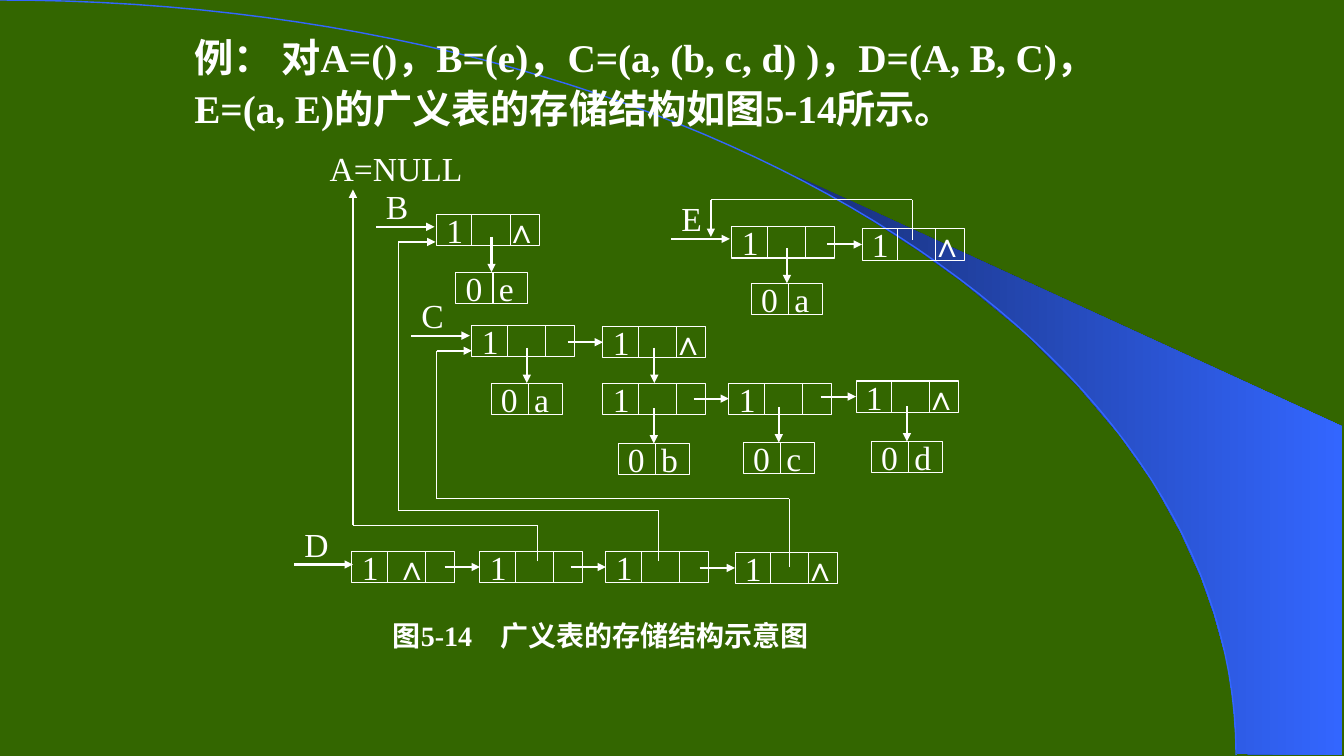
from itertools import pairwise
from lxml import etree
from pptx import Presentation
from pptx.dml.color import RGBColor as RGB
from pptx.enum.shapes import MSO_CONNECTOR as LINE, MSO_SHAPE as SHAPE
from pptx.enum.text import MSO_ANCHOR as ANCHOR, MSO_AUTO_SIZE as AUTO, PP_ALIGN as ALIGN
from pptx.oxml.ns import qn
from pptx.util import Inches, Pt

HEX = {"green": "336600", "navy": "182F76", "blue": "3366FF", "white": "FFFFFF"}
ink = {name: RGB.from_string(code) for name, code in HEX.items()}
ROMAN, SANS, ARIAL = "Times New Roman", "Noto Sans CJK SC", "Arial"

deck = Presentation()
deck.slide_width, deck.slide_height = Inches(13.33), Inches(7.5)
slide = deck.slides.add_slide(deck.slide_layouts[6])
slide.background.fill.solid()
slide.background.fill.fore_color.rgb = ink["green"]
shapes = slide.shapes


def write(shape, runs, size=24, bold=False, wrap=False, anchor=ANCHOR.MIDDLE):
    frame = shape.text_frame
    frame.auto_size = AUTO.NONE
    frame.word_wrap, frame.vertical_anchor = wrap, anchor
    para = frame.paragraphs[0]
    para.alignment = ALIGN.LEFT
    para.font.size, para.font.bold = Pt(size), bold
    para.font.color.rgb = ink["white"]
    para.font.name = ROMAN
    for text, face in runs:
        run = para.add_run()
        run.text = text
        if face != ROMAN:
            run.font.name = face
    return para


def wire(x1, y1, x2, y2, arrow=False):
    link = shapes.add_connector(LINE.STRAIGHT, *map(Inches, (x1, y1, x2, y2)))
    link.line.color.rgb = ink["white"]
    link.line.width = Pt(1.5 if arrow else 0.75)
    props = link._element.spPr
    if arrow:
        etree.SubElement(link.line._get_or_add_ln(), qn("a:tailEnd"), type="triangle")
    etree.SubElement(props, qn("a:effectLst"))
    return link


# Blue wedge
wedge = [(12.27, 7.48), (13.31, 7.49), (13.31, 4.23), (7.86, 1.73), (8.32, 1.99),
         (8.7, 2.22), (9.13, 2.5), (9.55, 2.8), (10.16, 3.3), (10.7, 3.84),
         (11.1, 4.31), (11.44, 4.79), (11.71, 5.28), (11.91, 5.72),
         (12.04, 6.09), (12.17, 6.56), (12.23, 6.96)]
pts = [(Inches(x), Inches(y)) for x, y in wedge]
pen = shapes.build_freeform(*pts[0])
pen.add_line_segments(pts[1:])
band = pen.convert_to_shape()
band.shadow.inherit = False
band.fill.gradient()
band.fill.gradient_angle = 0
for stop, name in zip(band.fill.gradient_stops, ("navy", "blue")):
    stop.color.rgb = ink[name]
band.line.fill.background()

# Blue arc, a cubic curve from the top left corner
STEPS = 60
pts = []
for i in range(STEPS + 1):
    t = i / STEPS
    u = 1 - t
    x = 3 * u * u * t * 6.77 + (3 * u * t * t + t ** 3) * 12.26
    y = 3 * u * t * t * 3.35 + t ** 3 * 7.49
    pts.append((Inches(x), Inches(y)))
pen = shapes.build_freeform(*pts[0])
pen.add_line_segments(pts[1:], close=False)
arc = pen.convert_to_shape()
arc.shadow.inherit = False
arc.fill.background()
arc.line.color.rgb = ink["blue"]
arc.line.width = Pt(1)

# Title
title = shapes.add_textbox(Inches(1.83), Inches(0.23), Inches(9.64), Inches(1.08))
para = write(title, [
    ("例", ROMAN), ("：", SANS), (" 对A=()", ROMAN), ("，", SANS), ("B=(e)", ROMAN),
    ("，", SANS), ("C=(a, (b, c, d) )", ROMAN), ("，", SANS), ("D=(A, B, C)", ROMAN),
    ("，", SANS), ("E=(a, E)的广义表的存储结构如图5-14所示", ROMAN), ("。", SANS),
], size=28, bold=True, wrap=True, anchor=ANCHOR.TOP)
para.line_spacing = 1.1
para.space_before = Pt(5.6)

# List names, each with an entry arrow except A
names = [("A=NULL", 3.17, 1.47, 1.41), ("B", 3.73, 1.85, 0.39), ("C", 4.08, 2.93, 0.39),
         ("D", 2.92, 5.2, 0.39), ("E", 6.66, 1.97, 0.39)]
for text, x, y, wide in names:
    label = shapes.add_textbox(Inches(x), Inches(y), Inches(wide), Inches(0.39))
    write(label, [(text, ROMAN)])
    if text != "A=NULL":
        wire(x, y + 0.4, x + 0.58, y + 0.4, arrow=True)

# Nodes: text, left, top, tab stop, arrow from the left, arrow from above
HIGH = 0.31
FAR, NEAR = 0.58, 0.33
nodes = [
    ("1\t∧", 4.33, 2.13, FAR, False, False),
    ("0\te", 4.52, 2.7, NEAR, False, True),
    ("1", 4.68, 3.23, FAR, False, False),
    ("0\ta", 4.87, 3.8, NEAR, False, True),
    ("1\t∧", 5.98, 3.24, FAR, True, False),
    ("1", 5.98, 3.8, FAR, False, True),
    ("0\tb", 6.13, 4.4, NEAR, False, True),
    ("1", 7.23, 3.8, FAR, True, False),
    ("0\tc", 7.37, 4.39, NEAR, False, True),
    ("1\t∧", 8.49, 3.78, FAR, True, False),
    ("0\td", 8.64, 4.38, NEAR, False, True),
    ("1\t∧", 3.49, 5.47, NEAR, False, False),
    ("1", 4.76, 5.47, FAR, True, False),
    ("1", 6.01, 5.47, FAR, True, False),
    ("1\t∧", 7.29, 5.48, FAR, True, False),
    ("1", 7.26, 2.25, FAR, False, False),
    ("0\ta", 7.45, 2.81, NEAR, False, True),
    ("1\t∧", 8.55, 2.27, FAR, True, False),
]
for text, x, y, stop, left, above in nodes:
    atom = text[0] == "0"
    wide = 0.71 if atom else 1.02
    box = shapes.add_shape(SHAPE.RECTANGLE, *map(Inches, (x, y, wide, HIGH)))
    box.shadow.inherit = False
    box.fill.background()
    box.line.color.rgb = ink["white"]
    box.line.width = Pt(0.75)
    para = write(box, [(text, ROMAN)])
    box.text_frame.margin_right = 0
    if "\t" in text:
        tabs = etree.Element(qn("a:tabLst"))
        etree.SubElement(tabs, qn("a:tab"), pos=str(Inches(stop)), algn="l")
        para._p.get_or_add_pPr().insert(0, tabs)
    for gap in (0.37,) if atom else (0.35, 0.73):
        wire(x + gap, y, x + gap, y + HIGH)
    mid, axis = x + wide / 2, y + HIGH / 2
    if left:
        wire(x - 0.35, axis, x, axis, arrow=True).end_connect(box, 1)
    if above:
        wire(mid, y - 0.35, mid, y, arrow=True).end_connect(box, 0)

# Bent links back to the lists, with the arrow on the last leg
routes = [
    [(5.33, 5.57), (5.33, 5.21), (3.5, 5.21), (3.5, 1.88)],
    [(6.53, 5.57), (6.53, 5.06), (3.95, 5.06), (3.95, 2.4), (4.32, 2.4)],
    [(7.83, 5.63), (7.83, 4.95), (4.33, 4.95), (4.33, 3.48), (4.68, 3.48)],
    [(9.05, 2.38), (9.05, 1.98), (7.05, 1.98), (7.05, 2.35)],
]
for route in routes:
    for start, end in pairwise(route):
        wire(*start, *end, arrow=end == route[-1])

# Caption
note = shapes.add_textbox(Inches(3.5), Inches(6.09), Inches(4.92), Inches(0.42))
para = write(note, [("图", ARIAL), ("5-14　", ROMAN), ("广义", ARIAL),
                    ("表的存储结构示意图", SANS)], size=20, bold=True, wrap=True)
para.alignment = ALIGN.CENTER

deck.save("out.pptx")
